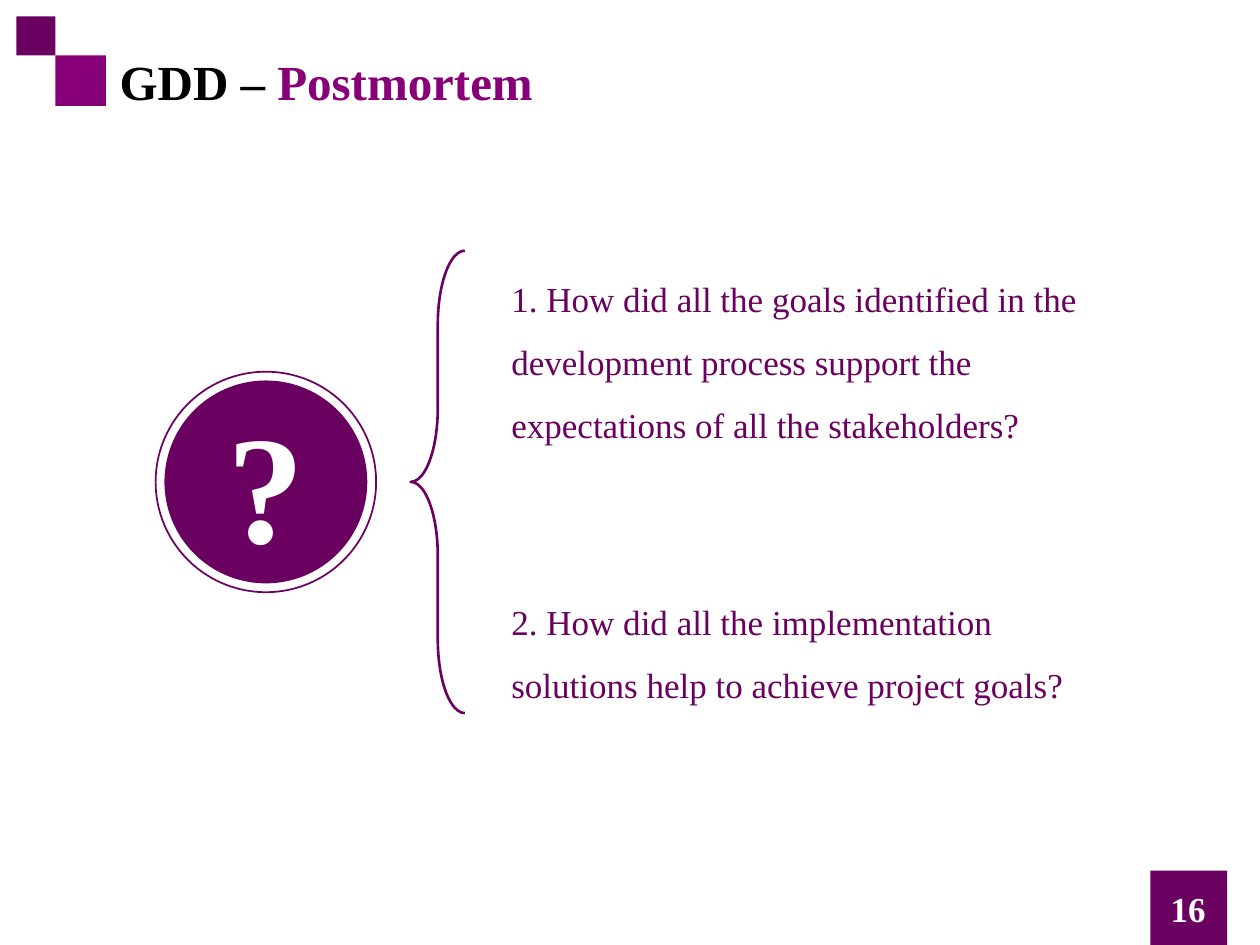
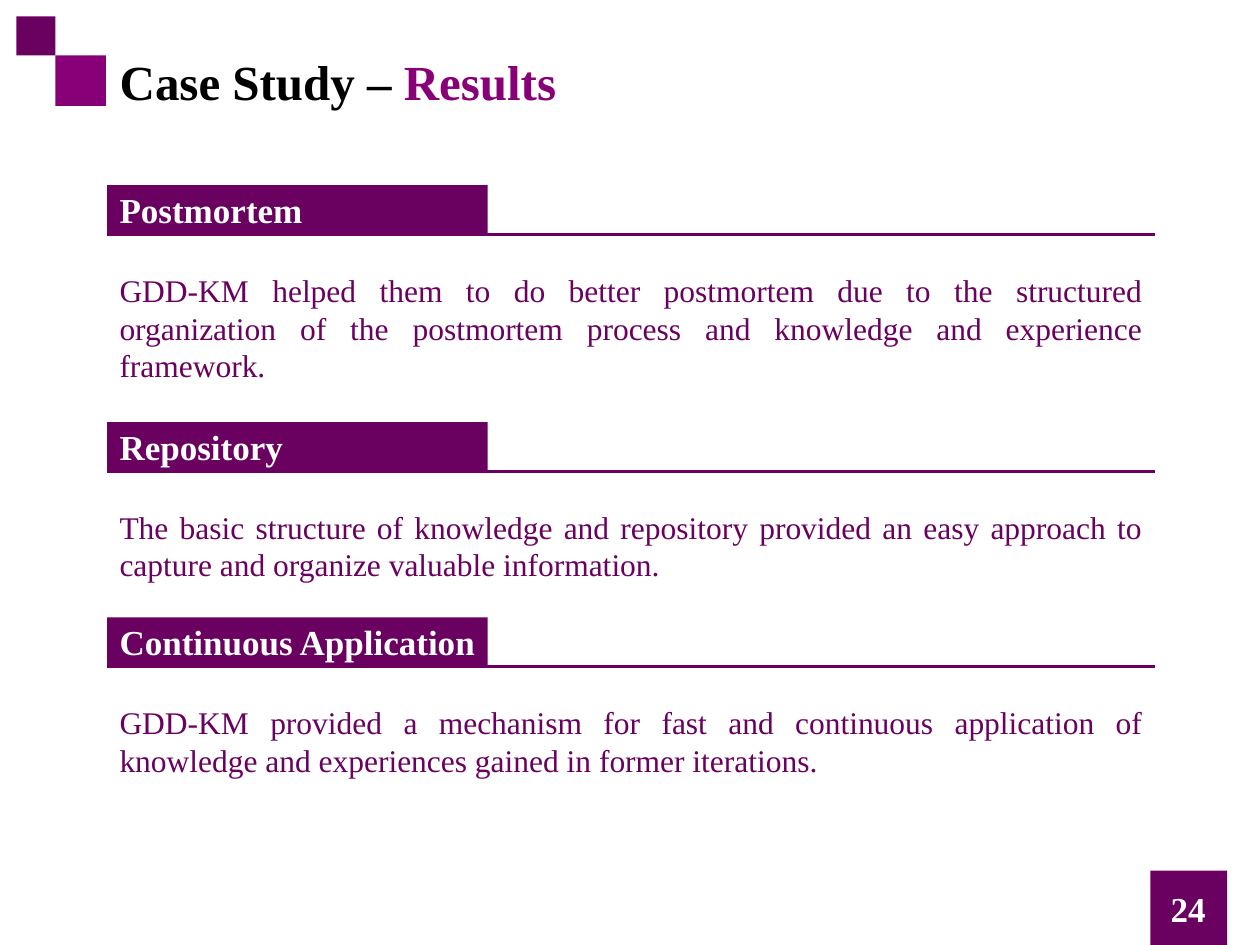
"""Build two slides on postmortems: the guiding questions and the case study results."""
from pptx import Presentation
from pptx.dml.color import RGBColor
from pptx.enum.shapes import MSO_CONNECTOR, MSO_SHAPE
from pptx.enum.text import MSO_ANCHOR, PP_ALIGN
from pptx.oxml.ns import qn
from pptx.util import Inches, Pt
from lxml import etree

RECT, OVAL, BRACE = MSO_SHAPE.RECTANGLE, MSO_SHAPE.OVAL, MSO_SHAPE.LEFT_BRACE
LEFT, CENTER, JUSTIFY = PP_ALIGN.LEFT, PP_ALIGN.CENTER, PP_ALIGN.JUSTIFY
TOP, MIDDLE = MSO_ANCHOR.TOP, MSO_ANCHOR.MIDDLE
STRAIGHT = MSO_CONNECTOR.STRAIGHT

FONT = "Times New Roman"
DARK, BRIGHT, BLACK, WHITE = "6A005F", "870078", "000000", "FFFFFF"
WIDE, HIGH = 10, 7.5
EDGE, SPAN = 0.85, 8.32
BAR_W, BAR_H, GAP = 3.02, 0.39, 0.24

ASK = {
    "title": ("GDD – ", "Postmortem"),
    "number": "16",
    "items": [
        (1.99, 1.56, "1. How did all the goals identified in the development process "
                     "support the expectations of all the stakeholders?"),
        (4.55, 1.11, "2. How did all the implementation solutions help to achieve "
                     "project goals?"),
    ],
}
FOUND = {
    "title": ("Case Study – ", "Results"),
    "number": "24",
    "items": [
        (1.47, 1.01, "Postmortem",
         "GDD-KM helped them to do better postmortem due to the structured organization "
         "of the postmortem process and knowledge and experience framework."),
        (3.35, 0.71, "Repository",
         "The basic structure of knowledge and repository provided an easy approach to "
         "capture and organize valuable information."),
        (4.9, 0.71, "Continuous Application",
         "GDD-KM provided a mechanism for fast and continuous application of knowledge "
         "and experiences gained in former iterations."),
    ],
}


def paint(code):
    return RGBColor.from_string(code)


def inch(*sizes):
    return [Inches(size) for size in sizes]


def write(shape, *runs, size=20, bold=False, align=LEFT, anchor=TOP, lead=None):
    frame = shape.text_frame
    frame.word_wrap = True
    frame.vertical_anchor = anchor
    para = frame.paragraphs[0]
    para.alignment = align
    if lead:
        para.line_spacing = lead
    for text, color in runs:
        run = para.add_run()
        run.text = text
        run.font.name, run.font.size, run.font.bold = FONT, Pt(size), bold
        run.font.color.rgb = paint(color)


def note(slide, box, text, color=DARK, **style):
    write(slide.shapes.add_textbox(*inch(*box)), (text, color), **style)


def draw(slide, kind, box, fill=None, line=None):
    shape = slide.shapes.add_shape(kind, *inch(*box))
    shape.shadow.inherit = False
    if fill:
        shape.fill.solid()
        shape.fill.fore_color.rgb = paint(fill)
    else:
        shape.fill.background()
    if line:
        shape.line.color.rgb = paint(DARK)
        shape.line.width = Pt(line)
    else:
        shape.line.fill.background()
    return shape


def rule(slide, top):
    line = slide.shapes.add_connector(STRAIGHT, *inch(EDGE, top, EDGE + SPAN, top))
    line.line.color.rgb = paint(DARK)
    line.line.width = Pt(1.5)
    etree.SubElement(line._element.spPr, qn("a:effectLst"))


def ring(slide, x, y, size, **look):
    return draw(slide, OVAL, (x - size / 2, y - size / 2, size, size), **look)


def start(deck, data):
    slide = deck.slides.add_slide(deck.slide_layouts[5])
    draw(slide, RECT, (9.13, 6.91, 0.61, HIGH - 6.91), fill=DARK)
    draw(slide, RECT, (0.44, 0.44, 0.4, 0.4), fill=BRIGHT)
    draw(slide, RECT, (0.13, 0.13, 0.31, 0.31), fill=DARK)
    note(slide, (8.86, 7.01, 1.14, 0.4), data["number"], WHITE,
         bold=True, align=CENTER, anchor=MIDDLE)
    title = slide.shapes.title
    title.left, title.top, title.width, title.height = inch(EDGE, 0.36, 8.89, 0.57)
    write(title, *zip(data["title"], (BLACK, BRIGHT)), size=28, bold=True, anchor=MIDDLE)
    return slide


def show_ask(deck):
    slide = start(deck, ASK)
    top, tall = 1.99, 3.67
    x, y = 2.11, top + tall / 2
    disc = ring(slide, x, y, 1.61, fill=DARK)
    write(disc, ("?", WHITE), size=88, bold=True, align=CENTER, anchor=MIDDLE)
    ring(slide, x, y, 1.75, line=1)
    brace = draw(slide, BRACE, (3.26, top, 0.43, tall), line=1.5)
    brace.adjustments[0] = 1.365
    for row, high, text in ASK["items"]:
        note(slide, (3.96, row, 4.71, high), text, lead=1.5)


def show_found(deck):
    slide = start(deck, FOUND)
    for top, high, head, text in FOUND["items"]:
        base = top + BAR_H
        bar = draw(slide, RECT, (EDGE, top, BAR_W, BAR_H), fill=DARK)
        write(bar, (head, WHITE), bold=True, anchor=MIDDLE)
        rule(slide, base)
        note(slide, (EDGE, base + GAP, SPAN, high), text, size=18, align=JUSTIFY)


def main():
    deck = Presentation()
    deck.slide_width, deck.slide_height = inch(WIDE, HIGH)
    show_ask(deck)
    show_found(deck)
    deck.save("out.pptx")


if __name__ == "__main__":
    main()
